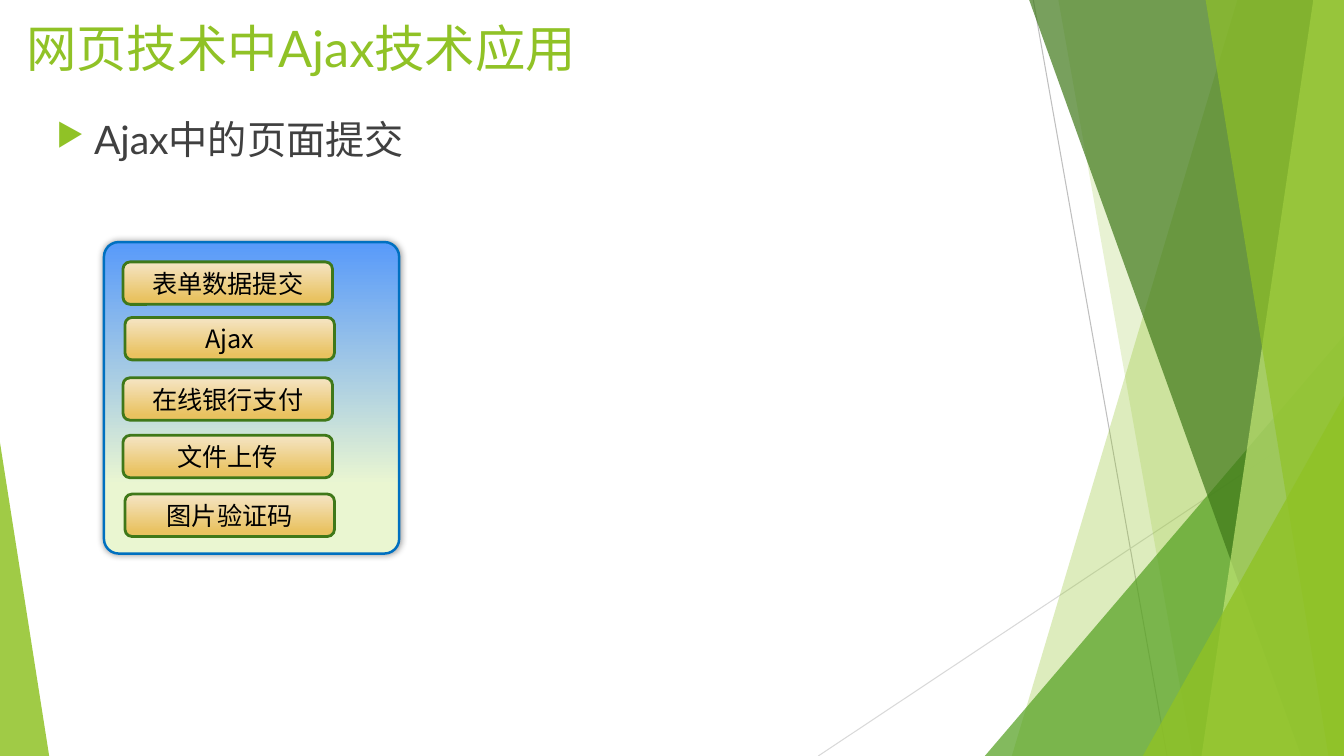
from lxml import etree
from pptx import Presentation
from pptx.dml.color import RGBColor
from pptx.enum import shapes, text
from pptx.oxml import parse_xml
from pptx.oxml.ns import nsdecls, qn
from pptx.util import Cm, Pt

LIME, GREEN, DARK_GREEN = "90C226", "54A021", "3F7819"
LATIN, CJK = "Lato", "Noto Sans CJK SC"
WIDTH, HEIGHT, TOP = 33.87, 19.05, -0.02

# top left x, bottom left x, colour, opacity; all reach the right edge
BANDS_BEHIND = [(31.19, 25.5, LIME, 30), (26.67, 30.05, LIME, 20)]
BANDS_FRONT = [
    (25.93, 32.79, DARK_GREEN, 70),
    (33.1, 30.28, "C0E474", 70),
    (30.38, 33.48, LIME, 65),
]
BUTTONS = [
    (3.1, 6.6, "表单数据提交"),
    (3.15, 8, "Ajax"),
    (3.1, 9.52, "在线银行支付"),
    (3.1, 10.97, "文件上传"),
    (3.15, 12.45, "图片验证码"),
]


def rgb(value):
    return RGBColor.from_string(value)


def fill_solid(sp, color, opacity):
    sp.shadow.inherit = False
    sp.line.fill.background()
    sp.fill.solid()
    sp.fill.fore_color.rgb = rgb(color)
    clr = sp.fill._xPr.find(qn("a:solidFill"))[0]
    etree.SubElement(clr, qn("a:alpha"), val=str(opacity * 1000))


def add_hairline(s, x1, y1, x2, y2, color):
    line = s.shapes.add_connector(
        shapes.MSO_CONNECTOR.STRAIGHT, Cm(x1), Cm(y1), Cm(x2), Cm(y2))
    line.line.color.rgb = rgb(color)
    line.line.width = Pt(0.75)
    etree.SubElement(line._element.spPr, qn("a:effectLst"))


def add_band(s, top_x, bottom_x, color, opacity):
    builder = s.shapes.build_freeform(Cm(top_x), Cm(TOP))
    corners = [(WIDTH, TOP), (WIDTH, HEIGHT), (bottom_x, HEIGHT)]
    builder.add_line_segments([(Cm(x), Cm(y)) for x, y in corners])
    fill_solid(builder.convert_to_shape(), color, opacity)


def add_triangle(s, x, y, w, apex, color, opacity):
    """Triangle standing on the slide's bottom edge; apex is 0 left to 1 right."""
    sp = s.shapes.add_shape(shapes.MSO_SHAPE.ISOSCELES_TRIANGLE,
                            Cm(x), Cm(y), Cm(w), Cm(HEIGHT - y))
    sp.adjustments[0] = apex
    fill_solid(sp, color, opacity)


def add_backdrop(s):
    add_hairline(s, 26.04, 0, 29.41, HEIGHT, "BFBFBF")
    add_hairline(s, WIDTH, 10.24, 20.62, HEIGHT, "D9D9D9")
    for band in BANDS_BEHIND:
        add_band(s, *band)
    add_triangle(s, 24.82, 8.46, 9.05, 1, GREEN, 72)
    for band in BANDS_FRONT:
        add_band(s, *band)
    add_triangle(s, 28.8, 9.98, 5.07, 1, LIME, 80)
    add_triangle(s, 0, 11.15, 1.24, 0, LIME, 85)


def write(tf, content, size, color, font):
    p = tf.paragraphs[0]
    r = p.add_run()
    r.text = content
    p.font.size = Pt(size)
    p.font.color.rgb = rgb(color)
    p.font.name = font
    # LibreOffice and PowerPoint read run properties first
    r.font.size = Pt(size)
    r.font.color.rgb = rgb(color)
    r.font.name = font
    etree.SubElement(r._r.get_or_add_rPr(), qn("a:ea"), typeface=CJK)
    return p


def add_text(s, x, y, w, h, content, size, color):
    tf = s.shapes.add_textbox(Cm(x), Cm(y), Cm(w), Cm(h)).text_frame
    tf.word_wrap = True
    return write(tf, content, size, color, LATIN)


def add_bullet(p):
    p.space_before = Pt(10)
    pPr = p._p.get_or_add_pPr()
    pPr.set("marL", str(Cm(0.95)))
    pPr.set("indent", str(-Cm(0.95)))
    bullet = [
        f'<a:buClr {nsdecls("a")}><a:srgbClr val="{LIME}"/></a:buClr>',
        f'<a:buSzPct {nsdecls("a")} val="80000"/>',
        f'<a:buChar {nsdecls("a")} char="▶"/>',
    ]
    place = list(pPr).index(pPr.find(qn("a:spcBef"))) + 1
    for offset, xml in enumerate(bullet):
        pPr.insert(place + offset, parse_xml(xml))


def add_gradient_box(s, x, y, w, h, stops, line_color, line_width):
    """Rounded box whose gradient runs from top to bottom."""
    sp = s.shapes.add_shape(shapes.MSO_SHAPE.ROUNDED_RECTANGLE,
                            Cm(x), Cm(y), Cm(w), Cm(h))
    sp.shadow.inherit = False
    sp.fill.gradient()
    sp.fill.gradient_angle = 270
    for stop, (position, color) in zip(sp.fill.gradient_stops, stops):
        stop.position = position
        stop.color.rgb = rgb(color)
    sp.line.color.rgb = rgb(line_color)
    sp.line.width = Pt(line_width)
    return sp


def add_panel(s):
    sp = add_gradient_box(s, 2.62, 6.1, 7.44, 7.85,
                          [(0, "589AFA"), (0.78, "EAF6D1")], "0070C0", 1.75)
    sp.adjustments[0] = 0.05
    effects = sp._element.spPr.find(qn("a:effectLst"))
    glow = etree.SubElement(effects, qn("a:outerShdw"), blurRad=str(Pt(5)),
                            dist="0", dir="0", algn="ctr", rotWithShape="0")
    clr = etree.SubElement(glow, qn("a:srgbClr"), val="000000")
    etree.SubElement(clr, qn("a:alpha"), val="40000")


def add_button(s, x, y, label):
    sp = add_gradient_box(s, x, y, 5.28, 1.07,
                          [(0, "F5E5C5"), (0.88, "E9C260")], DARK_GREEN, 2)
    tf = sp.text_frame
    tf.vertical_anchor = text.MSO_ANCHOR.MIDDLE
    p = write(tf, label, 18, "000000", CJK)
    p.alignment = text.PP_ALIGN.CENTER


def main():
    prs = Presentation()
    prs.slide_width, prs.slide_height = Cm(WIDTH), Cm(HEIGHT)
    s = prs.slides.add_slide(prs.slide_layouts[6])
    add_backdrop(s)
    add_text(s, 0.41, 0.3, 15.3, 1.8, "网页技术中Ajax技术应用", 36, LIME)
    add_bullet(add_text(s, 1.17, 2.79, 11.89, 1.63, "Ajax中的页面提交", 28, "404040"))
    add_panel(s)
    for button in BUTTONS:
        add_button(s, *button)
    prs.save("out.pptx")


if __name__ == "__main__":
    main()
